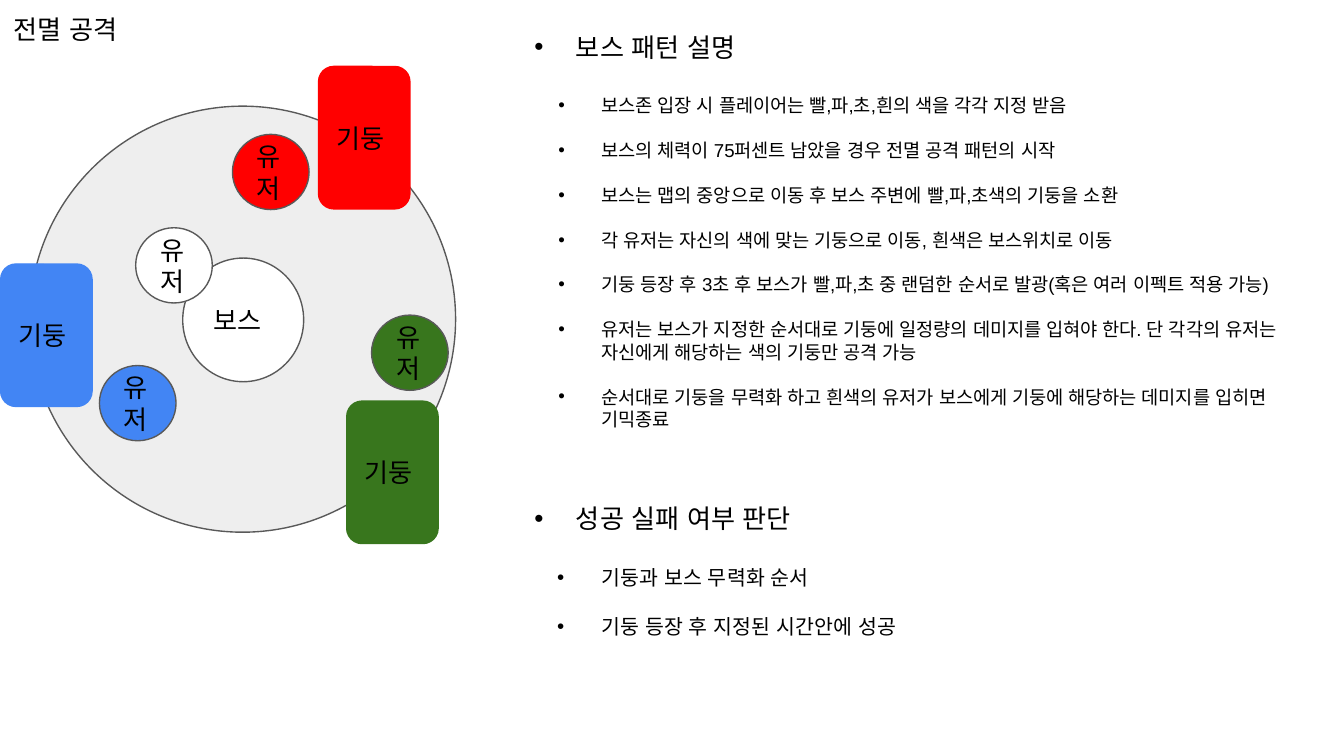
"""Build the boss wipe-attack slide: arena map on the left, rules on the right."""
from dataclasses import dataclass

from lxml import etree
from pptx import Presentation
from pptx.dml.color import RGBColor
from pptx.enum.lang import MSO_LANGUAGE_ID
from pptx.enum.shapes import MSO_SHAPE
from pptx.enum.text import MSO_ANCHOR, MSO_AUTO_SIZE, PP_ALIGN
from pptx.oxml.ns import qn
from pptx.util import Inches, Pt

OVAL, ROUND = MSO_SHAPE.OVAL, MSO_SHAPE.ROUNDED_RECTANGLE
TOP, MIDDLE = MSO_ANCHOR.TOP, MSO_ANCHOR.MIDDLE
LEFT, FIXED = PP_ALIGN.LEFT, MSO_AUTO_SIZE.NONE
KOREAN = MSO_LANGUAGE_ID.KOREAN

CELL = Inches(0.1)
COLS, ROWS = 100, 56.25
FONT, HEAD = "Arial", 14
COLORS = {"ink": "000000", "edge": "595959", "floor": "EEEEEE", "white": "FFFFFF",
          "red": "FF0000", "blue": "4285F4", "green": "38761D"}
FRAME = {"word_wrap": True, "auto_size": FIXED, "margin_left": CELL,
         "margin_right": CELL, "margin_top": CELL, "margin_bottom": CELL}


@dataclass(frozen=True)
class Box:
    """A place on the grid, in columns and rows."""
    col: float
    row: float
    wide: float
    high: float

    def span(self) -> tuple[int, ...]:
        """Return left, top, width and height in slide units."""
        return tuple(int(n * CELL) for n in (self.col, self.row, self.wide, self.high))


@dataclass(frozen=True)
class Part:
    """A filled figure on the arena map."""
    kind: int
    box: Box
    fill: str
    edge: str
    text: str = ""


@dataclass(frozen=True)
class Rules:
    """A headed list with its text size, hanging indent and gaps."""
    box: Box
    head: str
    items: tuple[str, ...]
    size: int
    hang: float
    lead: float
    gap: float


def pillar(col: float, row: float, hue: str) -> Part:
    """Return a pillar of the given colour."""
    return Part(ROUND, Box(col, row, 6.8, 10.6), hue, hue, "기둥")


def user(col: float, row: float, hue: str) -> Part:
    """Return a player of the given colour."""
    return Part(OVAL, Box(col, row, 5.7, 5.6), hue, "edge", "유저")


PARTS = (
    Part(OVAL, Box(2.2, 7.9, 31.7, 31.7), "floor", "edge"),
    Part(OVAL, Box(13.6, 19.2, 9, 9.2), "white", "edge", "보스"),
    pillar(23.7, 4.95, "red"), pillar(0.05, 19.65, "blue"), pillar(25.8, 29.85, "green"),
    user(17.3, 10, "red"), user(7.4, 27.2, "blue"),
    user(27.65, 23.45, "green"), user(10.1, 16.95, "white"),
)

LISTS = (
    Rules(Box(38.75, 1.3, 58, 33.7), "보스 패턴 설명", (
        "보스존 입장 시 플레이어는 빨,파,초,흰의 색을 각각 지정 받음",
        "보스의 체력이 75퍼센트 남았을 경우 전멸 공격 패턴의 시작",
        "보스는 맵의 중앙으로 이동 후 보스 주변에 빨,파,초색의 기둥을 소환",
        "각 유저는 자신의 색에 맞는 기둥으로 이동, 흰색은 보스위치로 이동",
        "기둥 등장 후 3초 후 보스가 빨,파,초 중 랜덤한 순서로 발광(혹은 여러 이펙트 적용 가능)",
        "유저는 보스가 지정한 순서대로 기둥에 일정량의 데미지를 입혀야 한다. "
        "단 각각의 유저는 자신에게 해당하는 색의 기둥만 공격 가능",
        "순서대로 기둥을 무력화 하고 흰색의 유저가 보스에게 기둥에 해당하는 데미지를 입히면 기믹종료",
    ), 10, 3.2, 17, 12),
    Rules(Box(38.75, 36.4, 31.7, 12.3), "성공 실패 여부 판단", (
        "기둥과 보스 무력화 순서",
        "기둥 등장 후 지정된 시간안에 성공",
    ), 11, 3.3, 16.5, 13),
)


def tint(name: str) -> RGBColor:
    """Return the named colour."""
    return RGBColor.from_string(COLORS[name])


def setup(frame, anchor) -> None:
    """Apply the shared frame format."""
    for key, val in {**FRAME, "vertical_anchor": anchor}.items():
        setattr(frame, key, val)


def write(para, text: str, size: float = HEAD, gap: float = 0) -> None:
    """Write one left-aligned Korean run into a paragraph."""
    run = para.add_run()
    run.text = text
    for key, val in {"alignment": LEFT, "space_before": Pt(gap),
                     "space_after": Pt(0), "line_spacing": 1.0}.items():
        setattr(para, key, val)
    for key, val in {"name": FONT, "size": Pt(size), "language_id": KOREAN}.items():
        setattr(run.font, key, val)
    run.font.color.rgb = tint("ink")
    for tag in ("a:ea", "a:cs"):
        etree.SubElement(run._r.get_or_add_rPr(), qn(tag), typeface=FONT)


def bullet(para, left: float, hang: float) -> None:
    """Give a paragraph a hanging round bullet."""
    props = para._p.get_or_add_pPr()
    props.set("marL", str(int(left * CELL)))
    props.set("indent", str(int(-hang * CELL)))
    hue = etree.SubElement(props, qn("a:buClr"))
    etree.SubElement(hue, qn("a:srgbClr"), val=COLORS["ink"])
    etree.SubElement(props, qn("a:buFont"), typeface=FONT)
    etree.SubElement(props, qn("a:buChar"), char="•")


def place(shape, box: Box) -> None:
    """Move a placeholder to its box and format its frame."""
    for key, val in zip(("left", "top", "width", "height"), box.span()):
        setattr(shape, key, val)
    setup(shape.text_frame, TOP)


def draw(shapes, part: Part) -> None:
    """Draw one figure of the map."""
    shape = shapes.add_shape(part.kind, *part.box.span())
    shape.shadow.inherit = False
    shape.fill.solid()
    shape.fill.fore_color.rgb = tint(part.fill)
    shape.line.color.rgb = tint(part.edge)
    shape.line.width = Pt(0.75)
    if part.text:
        setup(shape.text_frame, MIDDLE)
        write(shape.text_frame.paragraphs[0], part.text)


def fill(shape, rules: Rules) -> None:
    """Write a headed list into a body placeholder."""
    place(shape, rules.box)
    frame = shape.text_frame
    write(frame.paragraphs[0], rules.head)
    bullet(frame.paragraphs[0], 3.1, 3.1)
    for num, item in enumerate(rules.items):
        para = frame.add_paragraph()
        write(para, item, rules.size, rules.gap if num else rules.lead)
        bullet(para, 5, rules.hang)


def main() -> None:
    """Build and save the slide."""
    deck = Presentation()
    deck.slide_width, deck.slide_height = int(COLS * CELL), int(ROWS * CELL)
    slide = deck.slides.add_slide(deck.slide_layouts[3])
    title, first, second = list(slide.placeholders)[:3]
    place(title, Box(0, 0, 11, 4.4))
    write(title.text_frame.paragraphs[0], "전멸 공격")
    for part in PARTS:
        draw(slide.shapes, part)
    for body, rules in zip((first, second), LISTS):
        fill(body, rules)
    deck.save("out.pptx")


if __name__ == "__main__":
    main()
